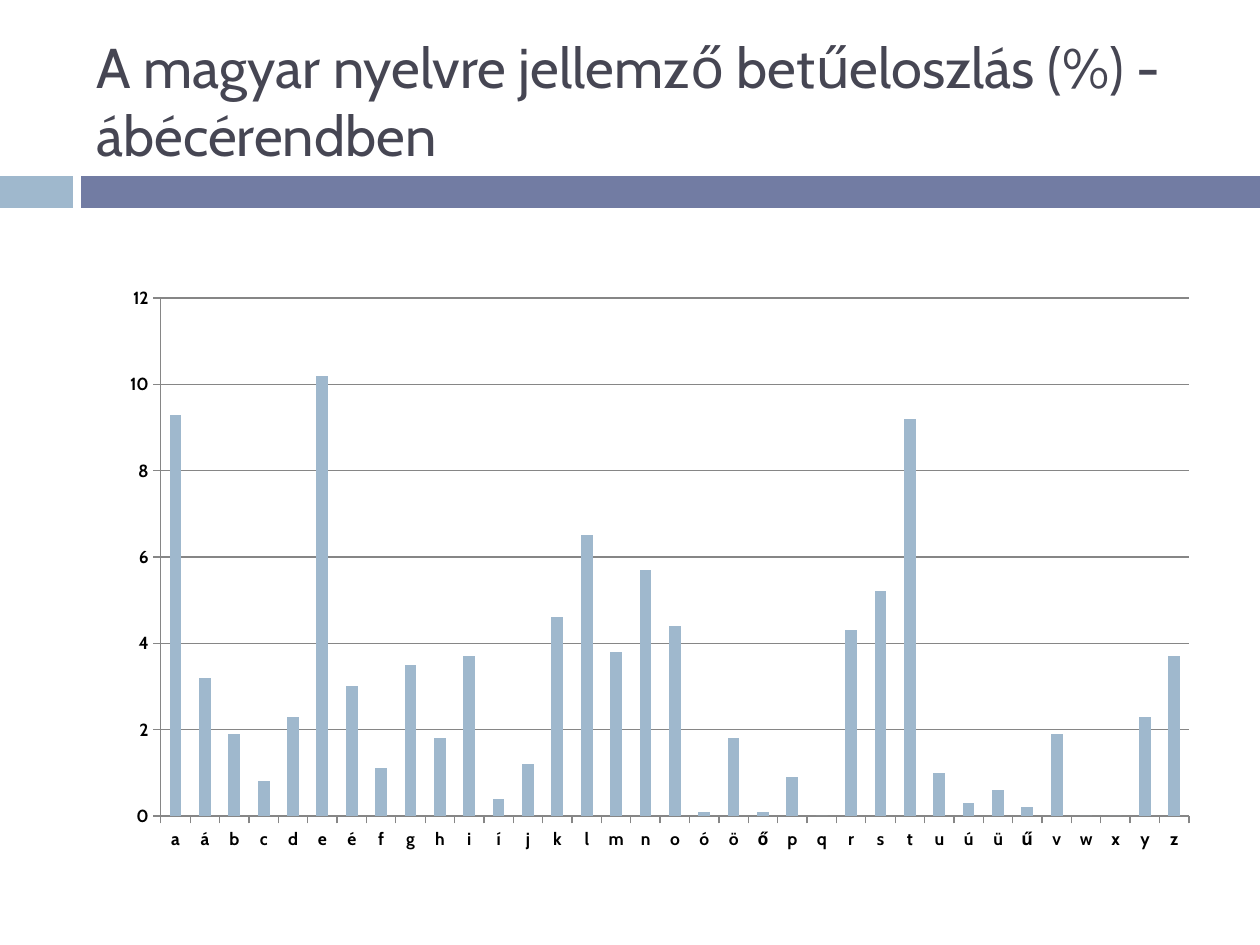
from pptx import Presentation
from pptx.chart.data import CategoryChartData
from pptx.dml.color import RGBColor
from pptx.enum.chart import XL_CHART_TYPE, XL_TICK_MARK
from pptx.enum.shapes import MSO_SHAPE
from pptx.enum.text import MSO_ANCHOR, PP_ALIGN
from pptx.util import Pt

PX = 914400 // 126
FONT = "Cabin"
INK = RGBColor(0x46, 0x46, 0x53)
BLACK = RGBColor(0, 0, 0)
GRID = RGBColor(0x86, 0x86, 0x86)
LIGHT_BLUE = RGBColor(0x9F, 0xB8, 0xCD)
SLATE_BLUE = RGBColor(0x72, 0x7C, 0xA3)

LETTERS = "a á b c d e é f g h i í j k l m n o ó ö ő p q r s t u ú ü ű v w x y z".split()
FREQUENCIES = [
    9.3, 3.2, 1.9, 0.8, 2.3, 10.2, 3, 1.1, 3.5, 1.8, 3.7, 0.4,
    1.2, 4.6, 6.5, 3.8, 5.7, 4.4, 0.1, 1.8, 0.1, 0.9, 0, 4.3,
    5.2, 9.2, 1, 0.3, 0.6, 0.2, 1.9, 0, 0, 2.3, 3.7,
]


def emu(*pixels):
    """Turn pixel lengths into EMU."""
    return [p * PX for p in pixels]


class SlideBuilder:
    """Hold the style and the current slide."""

    def __init__(self, slide, font=FONT):
        """Keep the slide and its font."""
        self.slide = slide
        self.font = font

    def style(self, font, size, color, bold=False):
        """Apply the slide's typeface to a font."""
        font.name, font.size, font.bold = self.font, Pt(size), bold
        font.color.rgb = color

    def title(self, text, box):
        """Fill and place the title placeholder."""
        title = self.slide.shapes.title
        title.left, title.top, title.width, title.height = emu(*box)
        frame = title.text_frame
        frame.text = text
        frame.word_wrap = True
        frame.vertical_anchor = MSO_ANCHOR.MIDDLE
        paragraph = frame.paragraphs[0]
        paragraph.alignment = PP_ALIGN.LEFT
        self.style(paragraph.runs[0].font, 32, INK)

    def band(self, box, color):
        """Draw a plain filled rectangle."""
        band = self.slide.shapes.add_shape(MSO_SHAPE.RECTANGLE, *emu(*box))
        band.shadow.inherit = False
        band.fill.solid()
        band.fill.fore_color.rgb = color
        band.line.fill.background()

    def column_chart(self, name, categories, values, box, color):
        """Add a column chart with one series."""
        data = CategoryChartData()
        data.categories = categories
        data.add_series(name, values)
        chart = self.slide.shapes.add_chart(
            XL_CHART_TYPE.COLUMN_CLUSTERED, *emu(*box), data).chart
        chart.has_legend = chart.has_title = False
        self.style(chart.font, 10, BLACK, bold=True)
        plot = chart.plots[0]
        plot.gap_width = 150
        plot.vary_by_categories = False
        fill = plot.series[0].format.fill
        fill.solid()
        fill.fore_color.rgb = color
        for axis in (chart.category_axis, chart.value_axis):
            axis.major_tick_mark = XL_TICK_MARK.OUTSIDE
            axis.minor_tick_mark = XL_TICK_MARK.NONE
            axis.format.line.color.rgb = GRID
            self.style(axis.tick_labels.font, 10, BLACK, bold=True)
        scale = chart.value_axis
        scale.minimum_scale, scale.maximum_scale, scale.major_unit = 0, 12, 2
        scale.has_major_gridlines = True
        scale.major_gridlines.format.line.color.rgb = GRID


def main():
    """Build and save the presentation."""
    deck = Presentation()
    deck.slide_width, deck.slide_height = emu(1260, 945)
    builder = SlideBuilder(deck.slides.add_slide(deck.slide_layouts[5]))
    builder.band((0, 176, 73, 32), LIGHT_BLUE)
    builder.band((81, 176, 1179, 32), SLATE_BLUE)
    builder.title("A magyar nyelvre jellemző betűeloszlás (%) - ábécérendben",
                  (84, 32, 1124, 136))
    builder.column_chart("Series 1", LETTERS, FREQUENCIES,
                         (108, 276, 1103, 585), LIGHT_BLUE)
    deck.save("out.pptx")


main()
